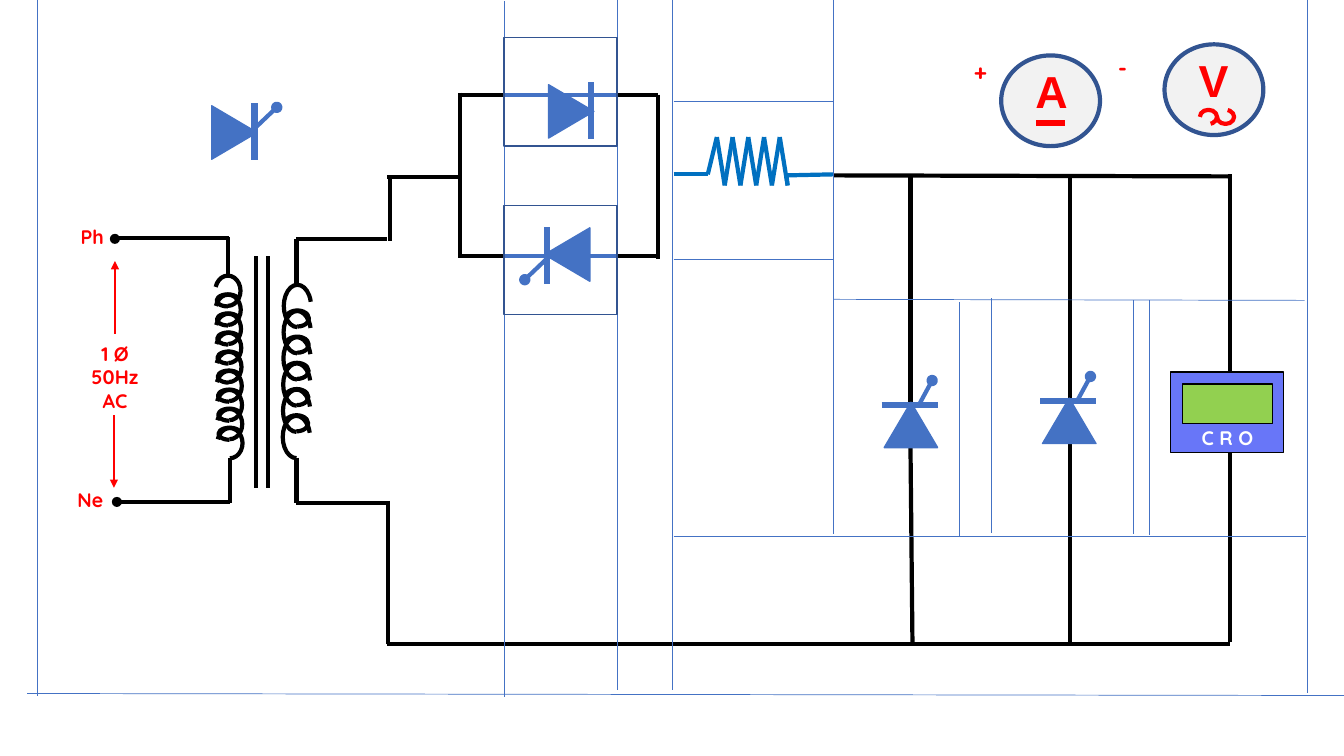
from collections import namedtuple
from itertools import pairwise
from math import cos, radians, sin

from lxml.etree import SubElement
from pptx import Presentation
from pptx.dml.color import RGBColor
from pptx.enum.shapes import MSO_CONNECTOR, MSO_SHAPE
from pptx.enum.text import MSO_AUTO_SIZE, PP_ALIGN
from pptx.oxml.ns import qn
from pptx.util import Inches, Pt

BLACK = RGBColor(0x00, 0x00, 0x00)
WHITE = RGBColor(0xFF, 0xFF, 0xFF)
RED = RGBColor(0xFF, 0x00, 0x00)
BLUE = RGBColor(0x44, 0x72, 0xC4)
DARK_BLUE = RGBColor(0x32, 0x54, 0x91)
RESISTOR_BLUE = RGBColor(0x00, 0x70, 0xC0)
CASE_BLUE = RGBColor(0x68, 0x76, 0xF8)
SCREEN_GREEN = RGBColor(0x92, 0xD0, 0x50)
DIAL_GRAY = RGBColor(0xF2, 0xF2, 0xF2)

Box = namedtuple("Box", "left top width height")
SLANTED_GATE = ((0.08, -0.2), (0.21, -0.44))
DIAGONAL_GATE = ((-0.04, -0.2), (-0.25, -0.42))


def add_wire(shapes, box, points, color=BLACK, width=3, arrow=False):
    """Join successive points, given relative to the box, with straight lines."""
    for start, end in pairwise(points):
        ends = [Inches(origin + offset) for point in (start, end)
                for origin, offset in zip((box.left, box.top), point)]
        connector = shapes.add_connector(MSO_CONNECTOR.STRAIGHT, *ends)
        connector.line.color.rgb = color
        connector.line.width = Pt(width)
        if arrow:
            SubElement(connector.line._get_or_add_ln(), qn("a:tailEnd"), type="triangle")
        SubElement(connector._element.spPr, qn("a:effectLst"))


def add_outline(shapes, kind, box, fill=None, line=None, width=1, rotation=0, flip=""):
    """Add a preset shape with its fill, line, rotation and flips."""
    shape = shapes.add_shape(kind, *map(Inches, box))
    shape.shadow.inherit = False
    shape.rotation = rotation
    for axis in flip:
        shape._element.spPr.xfrm.set("flip" + axis, "1")
    if fill is None:
        shape.fill.background()
    else:
        shape.fill.solid()
        shape.fill.fore_color.rgb = fill
    if line is None:
        shape.line.fill.background()
    else:
        shape.line.color.rgb = line
        shape.line.width = Pt(width)
    return shape


def add_arc(shapes, box, color, rotation, flip=""):
    """Add an open arc that leaves out the lower right part of its ellipse."""
    arc = add_outline(shapes, MSO_SHAPE.ARC, box, None, color, 3, rotation, flip)
    arc.adjustments[0] = 64.44
    arc.adjustments[1] = 0


def add_label(shapes, box, lines, size=14, color=RED, font="Quicksand", align=PP_ALIGN.CENTER):
    """Add bold text with one paragraph for each line."""
    label = shapes.add_textbox(*map(Inches, box))
    frame = label.text_frame
    frame.word_wrap = True
    frame.auto_size = MSO_AUTO_SIZE.SHAPE_TO_FIT_TEXT
    frame.text = "\n".join(lines)
    for paragraph in frame.paragraphs:
        paragraph.alignment = align
        paragraph.font.name = font
        paragraph.font.size = Pt(size)
        paragraph.font.bold = True
        paragraph.font.color.rgb = color


def add_supply(shapes, box):
    """Draw the supply terminals, their labels and the voltage arrows."""
    left, top = box.left, box.top
    add_label(shapes, Box(left, top, 0.81, 0.34), ["Ph"], align=PP_ALIGN.LEFT)
    add_label(shapes, Box(left - 0.03, top + 2.61, 0.97, 0.34), ["Ne"], align=PP_ALIGN.LEFT)
    add_label(shapes, Box(left + 0.02, top + 1.16, 0.84, 0.81), ["1 Ø", "50Hz", "AC"])
    for x, y in ((0.39, 0.14), (0.41, 2.75)):
        add_outline(shapes, MSO_SHAPE.OVAL, Box(left + x, top + y, 0.1, 0.1), BLACK)
    add_wire(shapes, box, [(0.43, 1.94), (0.43, 2.66)], RED, 1.5, arrow=True)
    add_wire(shapes, box, [(0.44, 1.13), (0.44, 0.41)], RED, 1.5, arrow=True)


def add_coil(shapes, box, turns, pitch, drift, link, rotation, flips):
    """Draw a winding of wide turns joined by narrow links."""
    coil = shapes.add_group_shape().shapes
    for turn in range(turns):
        x, y = box.left + turn * drift, box.top + turn * pitch
        add_arc(coil, Box(x, y, box.width, box.height), BLACK, rotation, flips[0])
        if turn < turns - 1:
            add_arc(coil, Box(x + link.left, y + link.top, link.width, link.height),
                    BLACK, rotation, flips[1])


def add_transformer(shapes, box):
    """Draw both windings, the core and the winding leads."""
    left, top = box.left, box.top
    add_coil(shapes, Box(left, top + 0.41, 0.3, 0.25), 9, 0.189, 0.0025,
             Box(0.09, 0.11, 0.12, 0.22), 90, ("", "V"))
    add_coil(shapes, Box(left + 0.63, top + 0.55, 0.42, 0.27), 6, 0.26, -0.002,
             Box(0.13, 0.145, 0.16, 0.23), 270, ("H", "HV"))
    for x in (0.43, 0.55):
        add_wire(shapes, box, [(x, 0.19), (x, 2.49)])
    add_wire(shapes, box, [(-0.99, 0.01), (0.16, 0.01)])
    add_wire(shapes, box, [(0.15, 0), (0.15, 0.38)])
    add_wire(shapes, box, [(0.17, 2.19), (0.17, 2.64)])
    add_wire(shapes, box, [(0.17, 2.63), (-0.97, 2.63)])
    add_wire(shapes, box, [(0.83, 0.47), (0.83, 0.02), (1.73, 0.02)])
    add_wire(shapes, box, [(0.83, 2.19), (0.83, 2.64), (1.74, 2.64)])


def add_wiring(shapes, box):
    """Draw the wires between the components."""
    for points in (
        [(3.87, 2.39), (3.87, 1.76)], [(3.84, 1.76), (4.55, 1.76)],
        [(4.56, 0.92), (4.56, 2.56)], [(4.55, 2.54), (6.51, 2.54)],
        [(4.56, 0.94), (6.53, 0.94), (6.53, 2.57)],
        [(3.85, 4.97), (3.85, 6.39)], [(3.84, 6.39), (12.2, 6.39)],
        [(8.27, 1.74), (12.19, 1.75)], [(12.2, 1.73), (12.2, 6.37)],
        [(9.03, 1.74), (9.03, 4.4), (9.05, 6.39)], [(10.61, 1.77), (10.61, 6.38)],
    ):
        add_wire(shapes, box, points)
    for y in (0.94, 2.54):
        add_wire(shapes, box, [(5, y), (6.12, y)], BLUE)


def add_guides(shapes, box):
    """Draw the thin guide lines and the two device frames."""
    for x, start, end in ((0.37, 0, 6.9), (5, 0.01, 6.91), (6.12, 0, 6.85), (6.67, 0, 6.85),
                          (8.27, 0, 5.3), (9.52, 3, 5.33), (9.83, 2.96, 5.29),
                          (11.24, 2.98, 5.3), (11.4, 2.98, 5.31), (12.97, 0, 6.88)):
        add_wire(shapes, box, [(x, start), (x, end)], BLUE, 0.5)
    for points in ([(0.27, 6.88), (13.33, 6.9)], [(8.27, 2.97), (12.94, 2.98)],
                   [(6.68, 5.32), (12.95, 5.32)], [(6.68, 1.01), (8.27, 1.01)],
                   [(6.68, 2.57), (8.27, 2.57)]):
        add_wire(shapes, box, points, BLUE, 0.5)
    for y in (0.37, 2.04):
        frame = Box(box.left + 5, box.top + y, 1.12, 1.08)
        add_outline(shapes, MSO_SHAPE.RECTANGLE, frame, None, DARK_BLUE)


def add_rectifier(shapes, box, heading, gate=None):
    """Draw a diode pointing to the heading, or a thyristor if it has a gate."""
    symbol = shapes.add_group_shape().shapes
    center = Box(box.left + box.width / 2, box.top + box.height / 2, 0, 0)
    cosine, sine = cos(radians(heading)), sin(radians(heading))

    def turn(points):
        """Rotate points about the center of the symbol."""
        return [(x * cosine - y * sine, x * sine + y * cosine) for x, y in points]

    add_outline(symbol, MSO_SHAPE.ISOSCELES_TRIANGLE, box, BLUE, BLUE, rotation=heading)
    add_wire(symbol, center, turn([(-0.29, -0.2), (0.27, -0.2)]), BLUE, 4.5)
    if gate:
        add_wire(symbol, center, turn(gate), BLUE)
        x, y = turn(gate)[1]
        dot = Box(center.left + x - 0.025, center.top + y - 0.025, 0.05, 0.05)
        add_outline(symbol, MSO_SHAPE.OVAL, dot, BLUE, BLUE, 4.5)


def add_resistor(shapes, box):
    """Draw a zigzag resistor with a lead on each side."""
    zigzag = [(0.43 + 0.078 * step, 0 if step % 2 == 0 else box.height) for step in range(10)]
    points = [(0, 0.37), (0.34, 0.37), *zigzag, (1.12, 0.38), (box.width, 0.37)]
    add_wire(shapes.add_group_shape().shapes, box, points, RESISTOR_BLUE)


def add_meter(shapes, box, letter, alternating):
    """Draw a round meter with its letter and a current type mark."""
    meter = shapes.add_group_shape().shapes
    add_outline(meter, MSO_SHAPE.OVAL, box, DIAL_GRAY, DARK_BLUE, 3)
    add_label(meter, Box(box.left + 0.24, box.top + 0.03, 0.49, 0.64), [letter], 32, font="Arial")
    if alternating:
        for x, rotation, flip in ((0.35, 180, "V"), (0.52, 0, "HV")):
            wave = Box(box.left + x, box.top + 0.65, 0.17, 0.14)
            add_arc(meter, wave, RED, rotation, flip)
    else:
        add_wire(meter, box, [(0.35, 0.67), (0.63, 0.67)], RED, 4.5)


def add_oscilloscope(shapes, box):
    """Draw the oscilloscope with its screen and name."""
    scope = shapes.add_group_shape().shapes
    screen = Box(box.left + 0.12, box.top + 0.12, 0.89, 0.39)
    add_outline(scope, MSO_SHAPE.RECTANGLE, box, CASE_BLUE, BLACK)
    add_outline(scope, MSO_SHAPE.RECTANGLE, screen, SCREEN_GREEN, BLACK)
    add_label(scope, Box(screen.left, box.top + 0.49, 0.89, 0.34), ["C R O"], color=WHITE)


def main():
    """Build the circuit slide and save it."""
    presentation = Presentation()
    presentation.slide_width, presentation.slide_height = Inches(13.33), Inches(7.5)
    shapes = presentation.slides.add_slide(presentation.slide_layouts[6]).shapes
    page = Box(0, 0, 13.33, 7.5)
    add_wiring(shapes, page)
    add_transformer(shapes, Box(2.11, 2.35, 1.05, 2.64))
    add_supply(shapes, Box(0.7, 2.18, 0.97, 2.95))
    add_guides(shapes, page)
    for left, top, heading, gate in ((5.4, 0.88, 90, None), (5.36, 2.3, 270, DIAGONAL_GATE),
                                     (2.06, 1.09, 90, DIAGONAL_GATE),
                                     (8.77, 3.99, 0, SLANTED_GATE), (10.34, 3.95, 0, SLANTED_GATE)):
        add_rectifier(shapes, Box(left, top, 0.53, 0.45), heading, gate)
    add_resistor(shapes, Box(6.68, 1.36, 1.58, 0.48))
    add_oscilloscope(shapes, Box(11.61, 3.69, 1.12, 0.8))
    add_meter(shapes, Box(9.93, 0.55, 0.98, 0.9), "A", alternating=False)
    add_meter(shapes, Box(11.55, 0.44, 0.98, 0.9), "V", alternating=True)
    add_label(shapes, Box(9.56, 0.53, 0.38, 0.37), ["+"], 16, align=PP_ALIGN.LEFT)
    add_label(shapes, Box(10.99, 0.49, 0.38, 0.37), ["-"], 16, align=PP_ALIGN.LEFT)
    presentation.save("out.pptx")


main()
